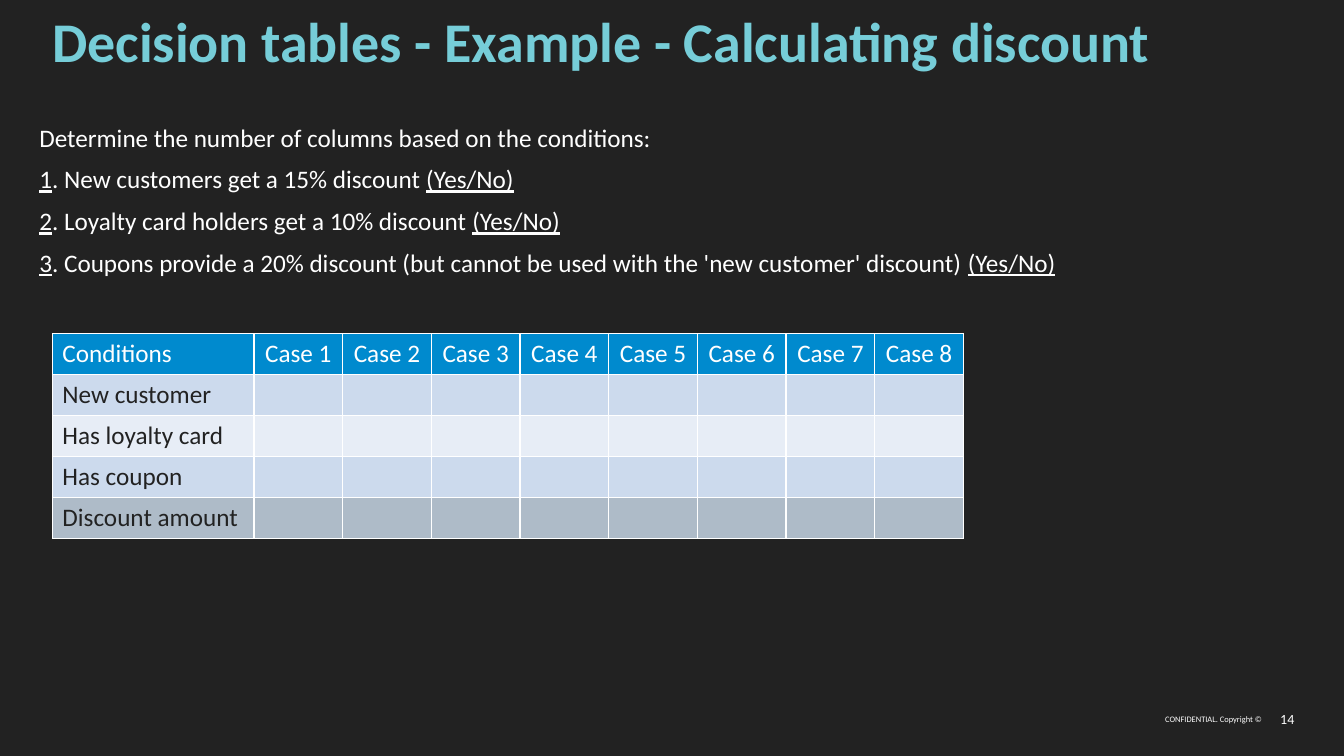
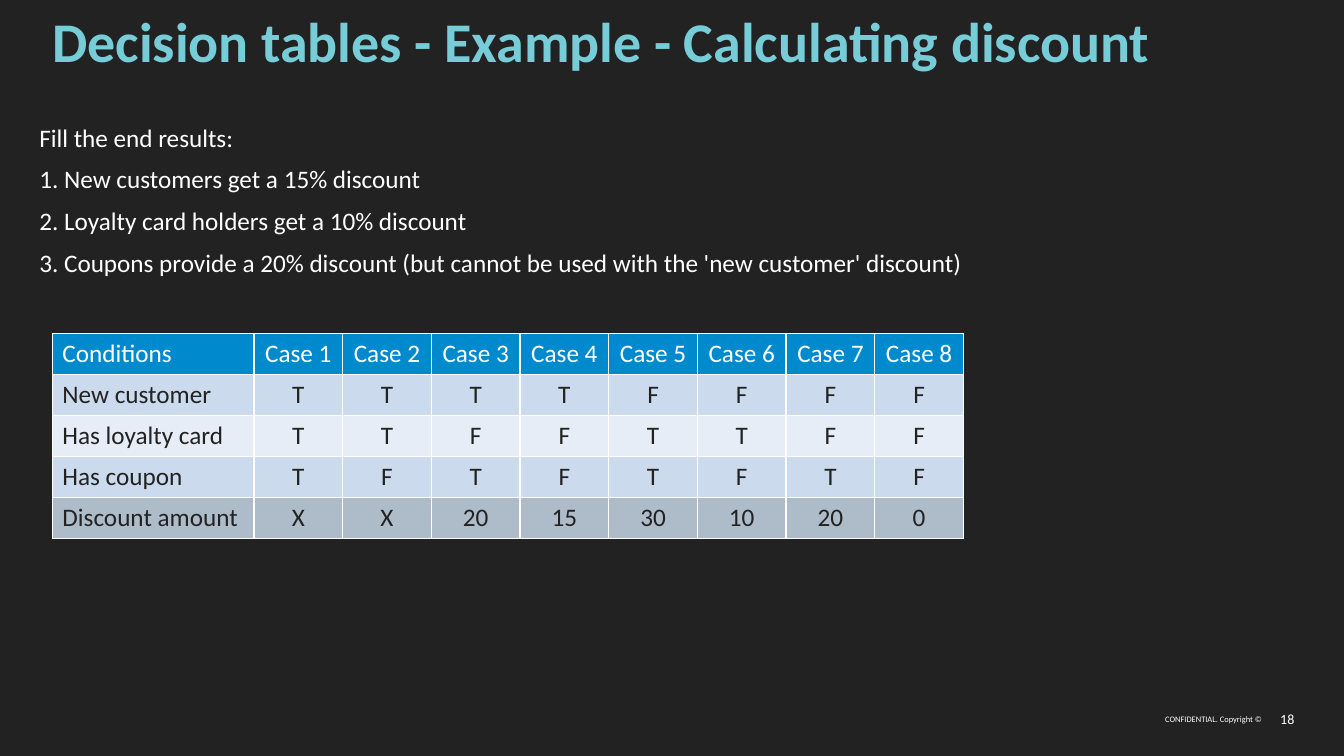
from itertools import product

from pptx import Presentation
from pptx.dml.color import RGBColor
from pptx.enum.text import MSO_ANCHOR as Anchor, MSO_AUTO_SIZE as AutoSize, PP_ALIGN as Align
from pptx.oxml import parse_xml
from pptx.oxml.ns import nsdecls
from pptx.util import Cm, Pt

FONT = "Calibri"
COLORS = {
    "background": "222222",
    "title": "76CDD8",
    "light": "FFFFFF",
    "dark": "222222",
    "header": "008ACE",
    "band": "CCDAED",
    "alt_band": "E7EDF6",
    "result": "AEBBC8",
}
TITLE = "Decision tables - Example - Calculating discount"
RULES = [
    "New customers get a 15% discount",
    "Loyalty card holders get a 10% discount",
    "Coupons provide a 20% discount (but cannot be used with the 'new customer' discount)",
]
CASES = 8
HEADER = ["Conditions"] + [f"Case {n}" for n in range(1, CASES + 1)]
ROW_LABELS = ["New customer", "Has loyalty card", "Has coupon", "Discount amount"]
ROW_FILLS = ["header", "band", "alt_band", "band", "result"]
LABEL_WIDTH, CASES_WIDTH, ROW_HEIGHT = 5.08, 17.88, 1.03


def rgb(name):
    return RGBColor.from_string(COLORS[name])


def apply(target, values):
    for name, value in values.items():
        setattr(target, name, value)


def place(sp, left, top, width, height):
    apply(sp, {"left": Cm(left), "top": Cm(top), "width": Cm(width), "height": Cm(height)})


def set_frame(tf, anchor=Anchor.TOP):
    apply(tf, {
        "margin_left": 0, "margin_top": 0, "margin_right": 0, "margin_bottom": 0,
        "word_wrap": True, "auto_size": AutoSize.NONE, "vertical_anchor": anchor,
    })


def add_run(p, text, size, color, **extra):
    r = p.add_run()
    r.text = text
    apply(r.font, {"name": FONT, "size": Pt(size), **extra})
    r.font.color.rgb = rgb(color)


def set_title(s, text):
    sp = s.shapes.title
    place(sp, 1.32, 0.36, 28.96, 1.55)
    set_frame(sp.text_frame)
    p = sp.text_frame.paragraphs[0]
    apply(p, {"alignment": Align.LEFT, "line_spacing": 0.9})
    add_run(p, text, 40, "title", bold=True)


def set_body(s, lines, width):
    sp = s.placeholders[1]
    place(sp, 0.99, 3, width, 9.45)
    tf = sp.text_frame
    set_frame(tf)
    for i, runs in enumerate(lines):
        p = tf.add_paragraph() if i else tf.paragraphs[0]
        pPr = p._p.get_or_add_pPr()
        apply(pPr, {"marL": 0, "indent": 0})
        pPr.append(parse_xml(f"<a:buNone {nsdecls('a')}/>"))
        apply(p, {"line_spacing": 1.1, "space_before": Pt(6 if i else 0)})
        for text, underline in runs:
            add_run(p, text, 18, "light", underline=underline)


def set_borders(cell):
    tcPr = cell._tc.get_or_add_tcPr()
    for side in "LRTB":
        tcPr.append(parse_xml(
            f'<a:ln{side} {nsdecls("a")} w="{Pt(1)}"><a:solidFill>'
            f'<a:srgbClr val="{COLORS["light"]}"/></a:solidFill></a:ln{side}>'))


def fill_cell(cell, text, fill, color, align):
    set_borders(cell)
    cell.fill.solid()
    cell.fill.fore_color.rgb = rgb(fill)
    p = cell.text_frame.paragraphs[0]
    p.alignment = align
    if text:
        add_run(p, text, 18, color, bold=False)


def add_decision_table(s, values):
    rows = [HEADER] + [[label, *row] for label, row in zip(ROW_LABELS, values)]
    table = s.shapes.add_table(
        len(rows), len(HEADER), Cm(1.32), Cm(8.41),
        Cm(LABEL_WIDTH + CASES_WIDTH), Cm(ROW_HEIGHT * len(rows))).table
    apply(table, {"first_row": False, "horz_banding": False})
    for i, column in enumerate(table.columns):
        column.width = Cm(CASES_WIDTH / CASES if i else LABEL_WIDTH)
    for row in table.rows:
        row.height = Cm(ROW_HEIGHT)
    for i, j in product(range(len(rows)), range(len(HEADER))):
        fill_cell(table.cell(i, j), rows[i][j], ROW_FILLS[i],
                  "dark" if i else "light", Align.CENTER if j else Align.LEFT)


def add_footer_text(s, text, left, width, size):
    sp = s.shapes.add_textbox(Cm(left), Cm(17.81), Cm(width), Cm(0.61))
    set_frame(sp.text_frame, Anchor.MIDDLE)
    p = sp.text_frame.paragraphs[0]
    p.alignment = Align.RIGHT
    add_run(p, text, size, "light")


def add_slide(prs, number, lines, body_width, values):
    s = prs.slides.add_slide(prs.slide_layouts[1])
    set_title(s, TITLE)
    set_body(s, lines, body_width)
    add_decision_table(s, values)
    add_footer_text(s, "CONFIDENTIAL. Copyright ©", 29.18, 2.62, 6)
    add_footer_text(s, str(number), 31.93, 0.69, 10)


def main():
    prs = Presentation()
    apply(prs, {"slide_width": Cm(33.87), "slide_height": Cm(19.05)})
    fill = prs.slide_master.background.fill
    fill.solid()
    fill.fore_color.rgb = rgb("background")

    questions = [[("Determine the number of columns based on the conditions:", False)]]
    results = [[("Fill the end results:", False)]]
    for n, rule in enumerate(RULES, 1):
        questions.append([(str(n), True), (f". {rule} ", False), ("(Yes/No)", True)])
        results.append([(f"{n}. {rule}", False)])

    blanks = [[""] * CASES for _ in ROW_LABELS]
    outcomes = [*zip(*product("TF", repeat=len(RULES))),
                ["X", "X", "20", "15", "30", "10", "20", "0"]]

    add_slide(prs, 14, questions, 27.08, blanks)
    add_slide(prs, 18, results, 23.42, outcomes)
    prs.save("out.pptx")


if __name__ == "__main__":
    main()
